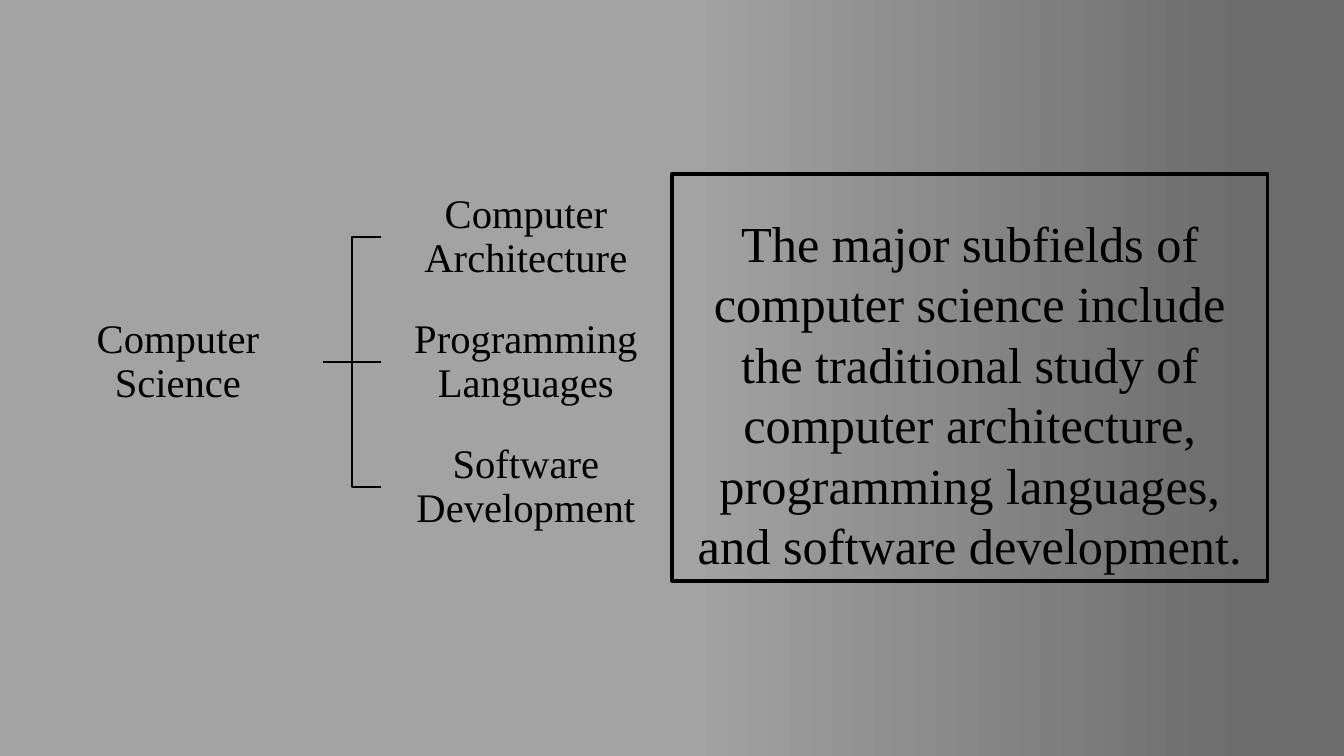
from copy import deepcopy
from pptx import Presentation
from pptx.dml.color import RGBColor
from pptx.enum.shapes import MSO_CONNECTOR
from pptx.enum.text import MSO_ANCHOR, PP_ALIGN
from pptx.util import Pt
from lxml.etree import SubElement
from pptx.oxml.ns import qn

SCALE = 914400 / 100.8
BLACK = RGBColor(0, 0, 0)
DARK = RGBColor(0x6C, 0x6C, 0x6C)
MID = RGBColor(0xA3, 0xA3, 0xA3)
LIGHT = RGBColor(0xDA, 0xDA, 0xDA)


def px(n):
    return round(n * SCALE)


def add_text(left, top, width, height, text, size, pad):
    box = slide.shapes.add_textbox(px(left), px(top), px(width), px(height))
    frame = box.text_frame
    frame.word_wrap = True
    frame.margin_left = frame.margin_right = px(pad)
    frame.margin_top = frame.margin_bottom = px(2)
    frame.text = text
    para = frame.paragraphs[0]
    para.alignment = PP_ALIGN.CENTER
    font = para.runs[0].font
    font.name = "Times New Roman"
    font.size = Pt(size)
    font.color.rgb = BLACK
    return box


deck = Presentation()
deck.slide_width, deck.slide_height = px(1344), px(756)
slide = deck.slides.add_slide(deck.slide_layouts[6])

fill = slide.background.fill
fill.gradient()
fill.gradient_angle = 180
stop_list = slide.element.find(".//" + qn("a:gsLst"))
for extra in range(2):
    stop_list.append(deepcopy(stop_list[0]))
shades = [(0.07, DARK), (0.49, MID), (1, MID), (1, LIGHT)]
for stop, (place, shade) in zip(fill.gradient_stops, shades):
    stop.position = place
    stop.color.rgb = shade

root_x, stem_x, leaf_x = 323, 352, 381
mid_y, gap = 362, 125
width, height = 290, 89

for end_y in (mid_y + gap, mid_y - gap):
    path = slide.shapes.build_freeform(root_x, mid_y, scale=SCALE)
    path.add_line_segments(
        [(stem_x, mid_y), (stem_x, end_y), (leaf_x, end_y)], close=False)
    branch = path.convert_to_shape()
    branch.shadow.inherit = False
    branch.fill.background()
    branch.line.color.rgb = BLACK
    branch.line.width = Pt(1.25)

link = slide.shapes.add_connector(
    MSO_CONNECTOR.STRAIGHT, px(root_x), px(mid_y), px(leaf_x), px(mid_y))
link.line.color.rgb = BLACK
link.line.width = Pt(1.25)
SubElement(link.element.spPr, qn("a:effectLst"))

nodes = [
    (root_x - width, mid_y, "Computer Science"),
    (leaf_x, mid_y - gap, "Computer Architecture"),
    (leaf_x, mid_y, "Programming Languages"),
    (leaf_x, mid_y + gap, "Software Development"),
]
for left, center, label in nodes:
    node = add_text(left, center - height // 2, width, height, label, 29, 2)
    node.text_frame.vertical_anchor = MSO_ANCHOR.MIDDLE
    node.text_frame.paragraphs[0].line_spacing = 0.9

note = add_text(
    672, 174, 596, 407,
    "The major subfields of computer science include the traditional study of "
    "computer architecture, programming languages, and software development.",
    36, 10)
note.text_frame.margin_top = px(38)
note.line.color.rgb = BLACK
note.line.width = Pt(2.25)

deck.save("out.pptx")
